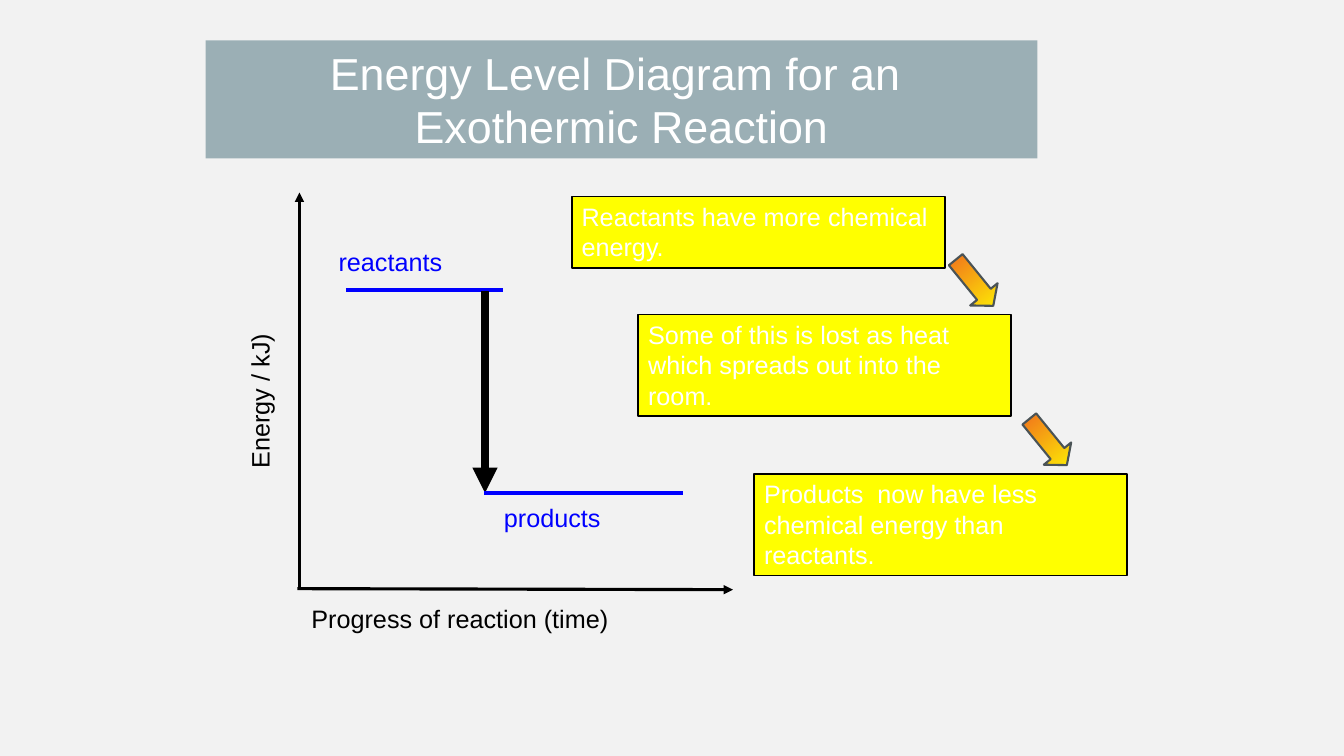
from dataclasses import dataclass
from lxml.etree import SubElement as add_sub
from pptx import Presentation
from pptx.dml.color import RGBColor as Color
from pptx.enum.shapes import MSO_CONNECTOR as Link, MSO_SHAPE as Form
from pptx.enum.text import MSO_ANCHOR as Anchor, MSO_AUTO_SIZE as Fit, PP_ALIGN as Align
from pptx.oxml.ns import qn
from pptx.util import Inches, Pt


@dataclass(frozen=True)
class Theme:
    font: str = "Arial"
    back: str = "F2F2F2"
    band: str = "9BAFB5"
    white: str = "FFFFFF"
    black: str = "000000"
    blue: str = "0000FF"
    yellow: str = "FFFF00"
    orange: str = "EF641F"
    slate: str = "4A5356"
    head: int = 32
    body: int = 18


theme = Theme()

title = "Energy Level Diagram for an \nExothermic Reaction"
title_box = (2.04, 0.4, 8.25, 1.17)

lines = [
    ((2.97, 5.84), (2.97, 1.91), theme.black, 2.25, True),
    ((2.95, 5.84), (7.27, 5.85), theme.black, 2.25, True),
    ((3.43, 2.88), (4.99, 2.88), theme.blue, 3, False),
    ((4.81, 2.89), (4.81, 4.89), theme.black, 6, True),
    ((4.8, 4.89), (6.77, 4.89), theme.blue, 3, False),
]

label_high = 0.4
labels = [
    ("Energy / kJ)", 1.8, 3.77, 1.55, theme.black, 270),
    ("Progress of reaction (time)", 2.99, 5.94, 3.18, theme.black, 0),
    ("reactants", 3.26, 2.39, 1.24, theme.blue, 0),
    ("products", 4.9, 4.93, 1.17, theme.blue, 0),
]

note_wide = 3.7
notes = [
    ("Reactants have more chemical energy.", 5.67, 1.95, 0.71),
    ("Some of this is lost as heat which spreads out into the room.", 6.33, 3.12, 1.01),
    ("Products  now have less chemical energy than reactants.", 7.48, 4.7, 1.01),
]

arrow_size = (0.35, 0.59)
arrow_turn = 320.9
arrows = [(9.49, 2.51), (10.22, 4.09)]


def rgb(code):
    return Color.from_string(code)


def inch(*sizes):
    return [Inches(size) for size in sizes]


def write(shape, text, size, color, align=Align.LEFT):
    frame = shape.text_frame
    frame.text = text
    for para in frame.paragraphs:
        para.alignment = align
        for run in para.runs:
            run.font.name = theme.font
            run.font.size = Pt(size)
            run.font.color.rgb = rgb(color)
    return frame


def draw_title(slide):
    shape = slide.shapes.title
    shape.left, shape.top, shape.width, shape.height = inch(*title_box)
    shape.fill.solid()
    shape.fill.fore_color.rgb = rgb(theme.band)
    frame = write(shape, title, theme.head, theme.white, Align.CENTER)
    frame.vertical_anchor = Anchor.TOP
    frame.word_wrap = True
    frame.auto_size = Fit.SHAPE_TO_FIT_TEXT


def draw_line(slide, start, end, color, width, tip):
    link = slide.shapes.add_connector(Link.STRAIGHT, *inch(*start, *end))
    link.line.color.rgb = rgb(color)
    link.line.width = Pt(width)
    if tip:
        add_sub(link.line._get_or_add_ln(), qn("a:tailEnd"), type="triangle")
    add_sub(link._element.spPr, qn("a:effectLst"))


def draw_label(slide, text, left, top, wide, color, turn):
    box = slide.shapes.add_textbox(*inch(left, top, wide, label_high))
    box.rotation = turn
    frame = write(box, text, theme.body, color)
    frame.word_wrap = False
    frame.auto_size = Fit.SHAPE_TO_FIT_TEXT


def add_form(slide, form, box, edge, width):
    shape = slide.shapes.add_shape(form, *inch(*box))
    shape.shadow.inherit = False
    shape.line.color.rgb = rgb(edge)
    shape.line.width = Pt(width)
    return shape


def draw_note(slide, text, left, top, high):
    box = (left, top, note_wide, high)
    shape = add_form(slide, Form.RECTANGLE, box, theme.black, 1.25)
    shape.fill.solid()
    shape.fill.fore_color.rgb = rgb(theme.yellow)
    frame = write(shape, text, theme.body, theme.white)
    frame.vertical_anchor = Anchor.TOP
    frame.word_wrap = True
    frame.auto_size = Fit.SHAPE_TO_FIT_TEXT


def draw_arrow(slide, left, top):
    box = (left, top, *arrow_size)
    shape = add_form(slide, Form.DOWN_ARROW, box, theme.slate, 1.5)
    shape.adjustments[0] = 0.5
    shape.adjustments[1] = 0.42
    shape.rotation = arrow_turn
    shape.fill.gradient()
    shape.fill.gradient_angle = 270
    for stop, color in zip(shape.fill.gradient_stops, (theme.orange, theme.yellow)):
        stop.color.rgb = rgb(color)


def main():
    deck = Presentation()
    deck.slide_width, deck.slide_height = inch(13.33, 7.5)
    slide = deck.slides.add_slide(deck.slide_layouts[5])
    slide.background.fill.solid()
    slide.background.fill.fore_color.rgb = rgb(theme.back)
    draw_title(slide)
    for draw, rows in (
        (draw_line, lines),
        (draw_label, labels),
        (draw_note, notes),
        (draw_arrow, arrows),
    ):
        for row in rows:
            draw(slide, *row)
    deck.save("out.pptx")


if __name__ == "__main__":
    main()
